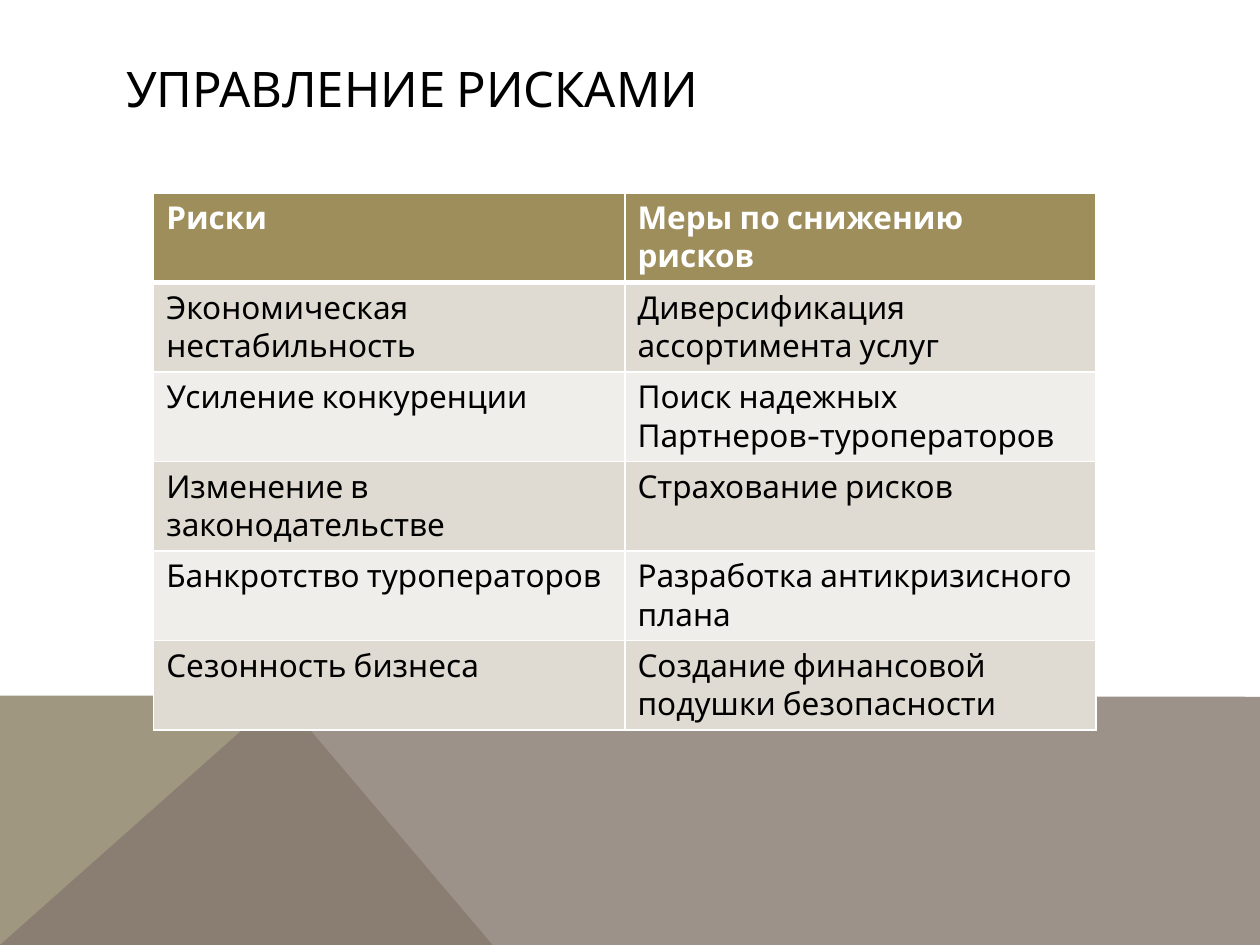
import pptx
import pptx.dml.color
import pptx.enum.text
import pptx.oxml
import pptx.oxml.ns
import pptx.util
from pptx.dml.color import RGBColor
from pptx.util import Inches

FONT = "Cabin"
BLACK = RGBColor(0x00, 0x00, 0x00)
WHITE = RGBColor(0xFF, 0xFF, 0xFF)
OLIVE = RGBColor(0xA0, 0x97, 0x81)
BROWN = RGBColor(0x85, 0x77, 0x6D)
HEADER = RGBColor(0x9E, 0x8E, 0x5C)
BANDS = [RGBColor(0xF0, 0xEE, 0xEA), RGBColor(0xDF, 0xDB, 0xD2)]

ROWS = [
    ("Риски", "Меры по снижению рисков"),
    ("Экономическая нестабильность", "Диверсификация ассортимента услуг"),
    ("Усиление конкуренции", "Поиск надежных\nПартнеров-туроператоров"),
    ("Изменение в законодательстве", "Страхование рисков"),
    ("Банкротство туроператоров", "Разработка антикризисного плана"),
    ("Сезонность бизнеса", "Создание финансовой подушки безопасности"),
]


def add_run(p, text, size, color, bold=False):
    r = p.add_run()
    r.text = text
    r.font.name = FONT
    r.font.size = pptx.util.Pt(size)
    r.font.bold = bold
    r.font.color.rgb = color


def set_borders(cell, widths):
    """Draw white borders; widths maps L, R, T, B, in that order, to points."""
    tcPr = cell._tc.get_or_add_tcPr()
    for i, (side, width) in enumerate(widths.items()):
        ln = pptx.oxml.parse_xml(
            f'<a:ln{side} {pptx.oxml.ns.nsdecls("a")} w="{pptx.util.Pt(width)}">'
            f'<a:solidFill><a:srgbClr val="{WHITE}"/></a:solidFill></a:ln{side}>')
        tcPr.insert(i, ln)


prs = pptx.Presentation()
prs.slide_width = Inches(10)
prs.slide_height = Inches(7.5)
s = prs.slides.add_slide(prs.slide_layouts[5])

# Background wedges along the bottom
wedges = [
    (OLIVE, None, [(0, 7.5), (0, 5.52), (2.23, 5.52), (3.91, 7.5)]),
    (BROWN, 80, [(0, 7.5), (2.23, 5.52), (10, 5.53), (10, 7.5)]),
]
for color, opacity, points in wedges:
    corners = [(Inches(x), Inches(y)) for x, y in points]
    fb = s.shapes.build_freeform(*corners[0])
    fb.add_line_segments(corners[1:], close=True)
    sp = fb.convert_to_shape()
    sp.shadow.inherit = False
    sp.fill.solid()
    sp.fill.fore_color.rgb = color
    sp.line.fill.background()
    if opacity:
        clr = sp._element.spPr.find(".//" + pptx.oxml.ns.qn("a:srgbClr"))
        clr.append(pptx.oxml.parse_xml(
            f'<a:alpha {pptx.oxml.ns.nsdecls("a")} val="{opacity * 1000}"/>'))

# Title
title = s.shapes.title
title.left, title.top = Inches(0.9), Inches(0.4)
title.width, title.height = Inches(8.22), Inches(0.6)
tf = title.text_frame
tf.word_wrap = True
tf.vertical_anchor = pptx.enum.text.MSO_ANCHOR.MIDDLE
p = tf.paragraphs[0]
p.alignment = pptx.enum.text.PP_ALIGN.LEFT
add_run(p, "УПРАВЛЕНИЕ РИСКАМИ", 28, BLACK)

# Table of risks
row_height = Inches(0.41)
table = s.shapes.add_table(len(ROWS), 2, Inches(1.22), Inches(1.53),
                           Inches(7.48), row_height * len(ROWS)).table
for i, row in enumerate(ROWS):
    table.rows[i].height = row_height
    is_header = i == 0
    for j, text in enumerate(row):
        cell = table.cell(i, j)
        cell.fill.solid()
        cell.fill.fore_color.rgb = HEADER if is_header else BANDS[i % 2]
        set_borders(cell, {"L": 1, "R": 1, "T": 3 if i == 1 else 1,
                           "B": 3 if is_header else 1})
        tf = cell.text_frame
        for k, line in enumerate(text.split("\n")):
            p = tf.add_paragraph() if k else tf.paragraphs[0]
            add_run(p, line, 18, WHITE if is_header else BLACK, is_header)

prs.save("out.pptx")
